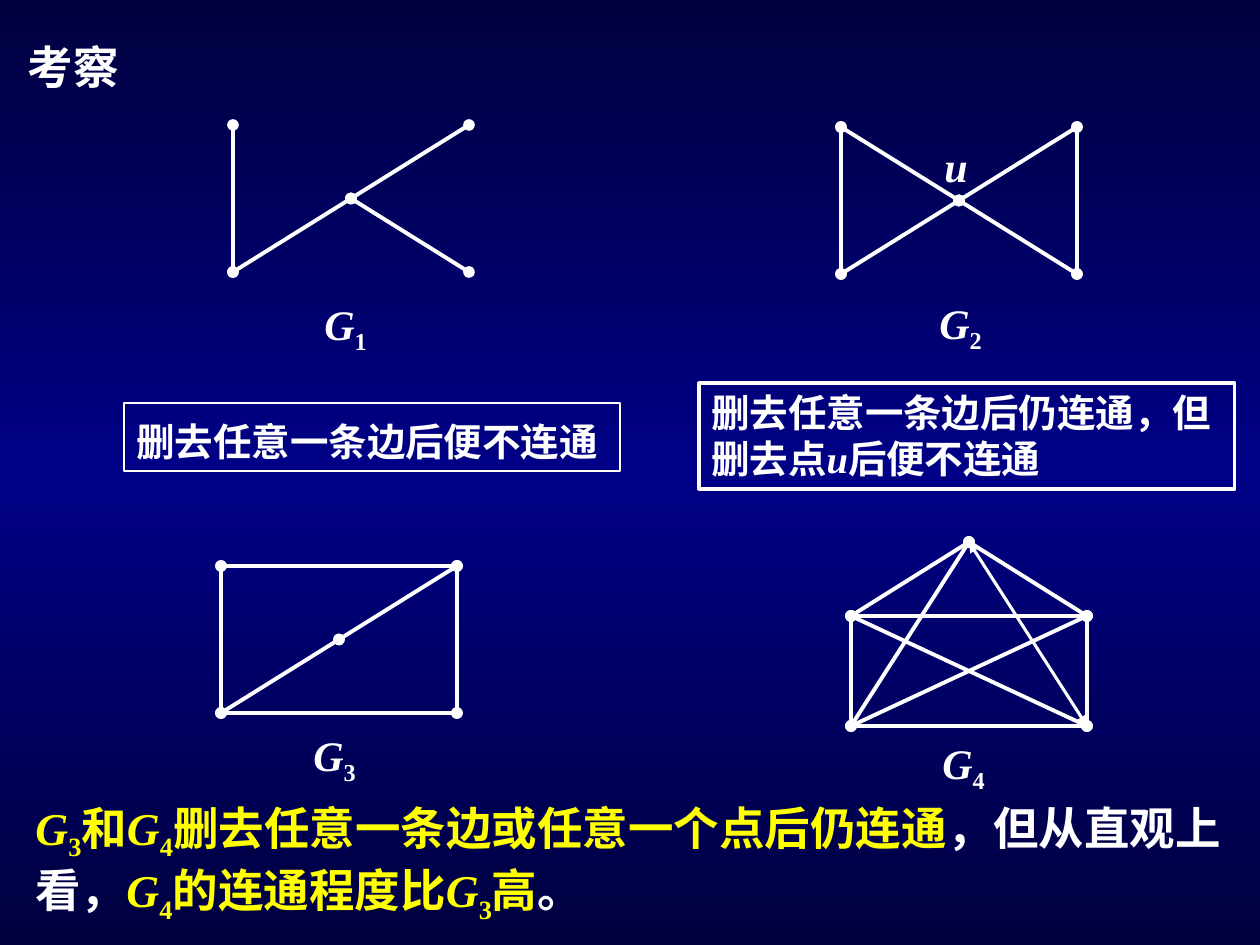
from copy import deepcopy
from pptx import Presentation
from pptx.dml.color import RGBColor
from pptx.enum.shapes import MSO_CONNECTOR, MSO_SHAPE
from pptx.enum.text import MSO_ANCHOR, MSO_AUTO_SIZE, PP_ALIGN
from pptx.oxml.ns import qn
from pptx.oxml.xmlchemy import OxmlElement
from pptx.util import Emu, Pt

WHITE, YELLOW = "FFFFFF", "FFFF00"
FONT = "Times New Roman"


def px(n):
    return Emu(round(n * 914400 / 126))


def rgb(code):
    return RGBColor.from_string(code)


def place(shape, box):
    shape.left, shape.top, shape.width, shape.height = map(px, box)


def paint(slide):
    """Fill the background with a dark-bright-dark vertical gradient."""
    fill = slide.background.fill
    fill.gradient()
    fill.gradient_angle = 270
    stops = next(slide.element.iter(qn("a:gsLst")))
    stops.append(deepcopy(stops[0]))
    shades = [(0, "00003E"), (0.5, "000086"), (1, "00003E")]
    for stop, (spot, code) in zip(fill.gradient_stops, shades):
        stop.position = spot
        stop.color.rgb = rgb(code)


def write(shape, parts, size, color=WHITE, gap=None):
    """Set one paragraph: G and u in italics, digits lowered, (text, colour) pairs recoloured."""
    frame = shape.text_frame
    frame.word_wrap = True
    frame.vertical_anchor = MSO_ANCHOR.TOP
    frame.auto_size = MSO_AUTO_SIZE.SHAPE_TO_FIT_TEXT
    par = frame.paragraphs[0]
    par.alignment = PP_ALIGN.LEFT
    if gap:
        par.line_spacing = gap
    font = par.font
    font.name, font.size, font.bold = FONT, Pt(size), True
    font.color.rgb = rgb(color)
    for part in parts:
        text, tint = part if isinstance(part, tuple) else (part, color)
        run = par.add_run()
        run.text = text
        if tint != color:
            run.font.color.rgb = rgb(tint)
        if text in ("G", "u"):
            run.font.italic = True
        elif text.isdigit():
            run.font._element.set("baseline", "-25000")


def add_text(shapes, box, *args):
    write(shapes.add_textbox(*map(px, box)), *args)


def add_note(shapes, box, weight, parts, gap=None):
    note = shapes.add_shape(MSO_SHAPE.RECTANGLE, *map(px, box))
    note.shadow.inherit = False
    note.fill.background()
    note.line.color.rgb = rgb(WHITE)
    note.line.width = Pt(weight)
    write(note, parts, 22, gap=gap)


def add_edge(shapes, start, end, tip="oval", weight=2.25):
    edge = shapes.add_connector(MSO_CONNECTOR.STRAIGHT, *map(px, start + end))
    edge.line.color.rgb = rgb(WHITE)
    edge.line.width = Pt(weight)
    line = edge.line._get_or_add_ln()
    for tag in ("a:headEnd", "a:tailEnd"):
        mark = OxmlElement(tag)
        mark.set("type", tip)
        line.append(mark)
    edge._element.spPr.append(OxmlElement("a:effectLst"))


def nodes(left, top, high):
    """Corners and centre of a graph, plus the apex over its top edge."""
    right, low, mid = left + 236, top + high, left + 118
    return {"tl": (left, top), "tr": (right, top), "bl": (left, low),
            "br": (right, low), "mid": (mid, top + high / 2), "apex": (mid, top - 74)}


def add_graph(slide, points, edges, digit, spot):
    shapes = slide.shapes.add_group_shape().shapes
    for edge in edges.split():
        start, end = edge.split("-")
        add_edge(shapes, points[start], points[end])
    add_text(shapes, spot + (88, 71), ["G", digit], 24)
    return shapes


def main():
    deck = Presentation()
    deck.slide_width, deck.slide_height = px(1260), px(945)
    slide = deck.slides.add_slide(deck.slide_layouts[5])
    paint(slide)

    title = slide.shapes.title
    place(title, (15, 33, 183, 68))
    write(title, ["考察"], 26)

    add_graph(slide, nodes(233, 125, 147), "mid-br mid-tr bl-tl mid-bl", "1", (312, 292))
    bow = add_graph(slide, nodes(841, 127, 147),
                    "mid-br mid-tr bl-tl tl-mid mid-bl tr-br", "2", (927, 291))
    add_text(bow, (932, 134, 87, 63), ["u"], 24)
    add_graph(slide, nodes(221, 566, 147),
              "bl-br mid-tr bl-tl tl-tr mid-bl tr-br", "3", (301, 723))
    house = nodes(851, 616, 110)
    full = add_graph(slide, house,
                     "bl-br tl-tr tl-apex tl-br apex-tr tr-br tl-bl bl-tr apex-bl",
                     "4", (930, 731))
    add_edge(full, house["apex"], house["br"], "triangle", 1.75)

    add_note(slide.shapes, (124, 403, 496, 68), 0.75, ["删去任意一条边后便不连通"], 1.2)
    add_note(slide.shapes, (699, 383, 536, 106), 1.75,
             ["删去任意一条边后仍连通，但删去点", "u", "后便不连通"])
    add_text(slide.shapes, (23, 794, 1221, 137),
             ["G", "3", "和", "G", "4", "删去任意一条边或任意一个点后仍连通",
              ("，但从直观上看，", WHITE), "G", "4", "的连通程度比", "G", "3", "高",
              ("。", WHITE)], 26, YELLOW)
    deck.save("out.pptx")


if __name__ == "__main__":
    main()
